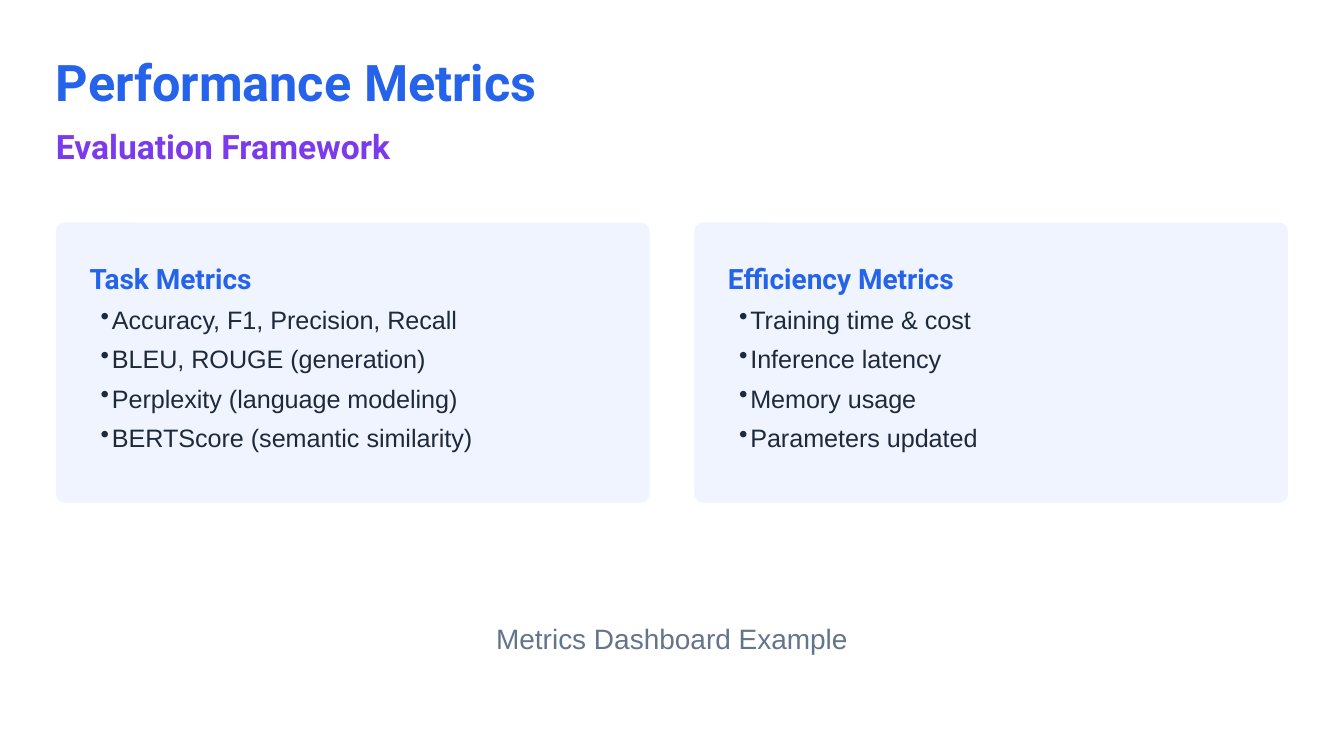
from lxml import etree
from pptx import Presentation
from pptx.dml.color import RGBColor
from pptx.enum.shapes import MSO_SHAPE
from pptx.enum.text import MSO_ANCHOR, PP_ALIGN
from pptx.oxml.ns import qn
from pptx.util import Pt

EMU_PER_PX = 9525
ROUNDED = MSO_SHAPE.ROUNDED_RECTANGLE
TOP = MSO_ANCHOR.TOP
LEFT = PP_ALIGN.LEFT
CENTER = PP_ALIGN.CENTER

WHITE = RGBColor(0xFF, 0xFF, 0xFF)
BLUE = RGBColor(0x25, 0x63, 0xEB)
PURPLE = RGBColor(0x7C, 0x3A, 0xED)
CARD_FILL = RGBColor(0xF0, 0xF4, 0xFF)
INK = RGBColor(0x1E, 0x29, 0x3B)
SLATE = RGBColor(0x64, 0x74, 0x8B)

MARGIN = 40
CARD_TOP = 159
CARD_WIDTH = 424
CARD_HEIGHT = 200
CARD_STEP = 456
CARD_PADDING = 24
HEADING_HEIGHT = 28
BULLET_INDENT = 8

CARDS = [
    ("Task Metrics", [
        "Accuracy, F1, Precision, Recall",
        "BLEU, ROUGE (generation)",
        "Perplexity (language modeling)",
        "BERTScore (semantic similarity)",
    ]),
    ("Efficiency Metrics", [
        "Training time & cost",
        "Inference latency",
        "Memory usage",
        "Parameters updated",
    ]),
]


def px(*lengths):
    return [length * EMU_PER_PX for length in lengths]


class SlideBuilder:
    """Holds the text styles and the slide being built."""

    styles = {
        "title": ({"name": "Roboto", "size": Pt(27), "bold": True}, BLUE,
                  {"line_spacing": Pt(30), "space_after": Pt(24)}),
        "subtitle": ({"name": "Roboto", "size": Pt(18), "bold": True}, PURPLE,
                     {"line_spacing": Pt(24), "space_after": Pt(18)}),
        "heading": ({"name": "Roboto", "size": Pt(15), "bold": True}, BLUE,
                    {"line_spacing": Pt(21)}),
        "item": ({"name": "Arial", "size": Pt(13.5)}, INK,
                 {"line_spacing": Pt(21)}),
        "caption": ({"name": "Arial", "size": Pt(15)}, SLATE,
                    {"line_spacing": Pt(21), "space_before": Pt(3),
                     "space_after": Pt(3), "alignment": CENTER}),
    }

    def __init__(self, slide):
        self.slide = slide
        background = slide.background.fill
        background.solid()
        background.fore_color.rgb = WHITE

    def text(self, lines, style, box, inset_left=0, inset_top=0, bulleted=False):
        font_format, color, paragraph_format = self.styles[style]
        frame = self.slide.shapes.add_textbox(*px(*box)).text_frame
        left, top = px(inset_left, inset_top)
        frame_format = {"word_wrap": True, "vertical_anchor": TOP,
                        "margin_left": left, "margin_top": top,
                        "margin_right": 0, "margin_bottom": 0}
        for name, value in frame_format.items():
            setattr(frame, name, value)
        for index, line in enumerate(lines):
            paragraph = frame.add_paragraph() if index else frame.paragraphs[0]
            for name, value in {"alignment": LEFT, **paragraph_format}.items():
                setattr(paragraph, name, value)
            run = paragraph.add_run()
            run.text = line
            for name, value in font_format.items():
                setattr(run.font, name, value)
            run.font.color.rgb = color
            if bulleted:
                self.bullet(paragraph)

    def bullet(self, paragraph):
        properties = paragraph._p.get_or_add_pPr()
        [indent] = px(BULLET_INDENT)
        properties.set("marL", str(indent))
        properties.set("indent", str(-indent))
        etree.SubElement(properties, qn("a:buChar")).set("char", "•")

    def panel(self, box):
        shape = self.slide.shapes.add_shape(ROUNDED, *px(*box))
        shape.adjustments[0] = 0.03
        shape.shadow.inherit = False
        shape.fill.solid()
        shape.fill.fore_color.rgb = CARD_FILL
        shape.line.fill.background()

    def card(self, left, heading, items):
        self.panel((left, CARD_TOP, CARD_WIDTH, CARD_HEIGHT))
        text_left = left + CARD_PADDING
        text_top = CARD_TOP + CARD_PADDING
        text_width = CARD_WIDTH - 2 * CARD_PADDING
        self.text([heading], "heading",
                  (text_left, text_top, text_width, HEADING_HEIGHT))
        self.text(items, "item",
                  (text_left, text_top + HEADING_HEIGHT, text_width, 124),
                  inset_left=BULLET_INDENT, bulleted=True)


def main():
    presentation = Presentation()
    presentation.slide_width, presentation.slide_height = px(960, 540)
    blank_layout = presentation.slide_layouts[6]
    builder = SlideBuilder(presentation.slides.add_slide(blank_layout))

    builder.text(["Performance Metrics"], "title", (MARGIN, 40, 450, 40))
    builder.text(["Evaluation Framework"], "subtitle", (MARGIN, 87, 898, 32))
    for index, (heading, items) in enumerate(CARDS):
        builder.card(MARGIN + index * CARD_STEP, heading, items)
    builder.text(["Metrics Dashboard Example"], "caption", (32, 396, 896, 88),
                 inset_top=60)

    presentation.save("out.pptx")


if __name__ == "__main__":
    main()
